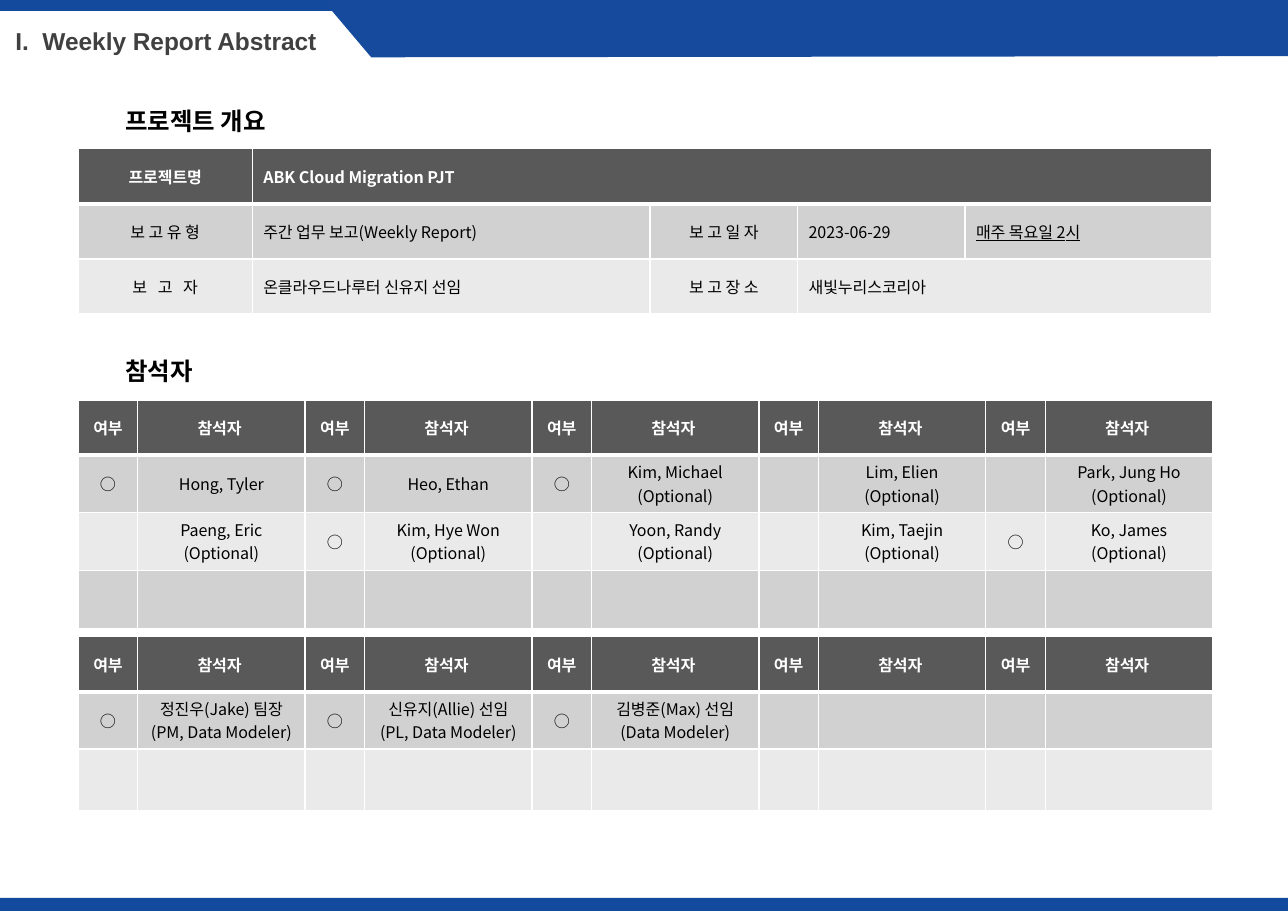
from dataclasses import dataclass

from lxml.etree import SubElement as Sub
from pptx import Presentation
from pptx.dml.color import RGBColor as Rgb
from pptx.enum.shapes import MSO_SHAPE as Shape
from pptx.enum.text import MSO_ANCHOR as Anchor, MSO_AUTO_SIZE as Fit, PP_ALIGN as Align
from pptx.oxml.ns import qn
from pptx.util import Pt

PX = 9144  # EMU per px, 100 px to the inch
WIDE, HIGH = 1169, 827
HUES = {"bar": "134A9D", "band": "154A9D", "title": "404040", "head": "595959",
        "dark": "D1D1D1", "pale": "EAEAEA", "white": "FFFFFF", "black": "000000"}
KOREAN = "Noto Sans CJK KR"
TITLE = {"name": "Arial", "size": Pt(16), "bold": True}
TOPIC = {"name": KOREAN, "size": Pt(16), "bold": True}
HEAD = {"name": KOREAN, "size": Pt(10.5), "bold": True}
BODY = HEAD | {"bold": False}


@dataclass
class Bar:
    top: int
    wide: int
    high: int


@dataclass
class Topic:
    text: str
    top: int


@dataclass
class Grid:
    top: int
    cols: list[int]
    rows: list[int]
    cells: list[list[str]]
    left: tuple[int, ...] = ()
    tight: tuple[int, ...] = ()
    spans: tuple[tuple[int, int, int], ...] = ()
    under: tuple[tuple[int, int], ...] = ()


BARS = [Bar(815, WIDE, 12), Bar(0, 409, 10)]
TOPICS = [Topic("프로젝트 개요", 91), Topic("참석자", 318)]
PAIRS = [54, 152] * 5
NAMES = (1, 3, 5, 7, 9)
LABELS = ["여부", "참석자 "] * 5
OPT = "\n(Optional)"
GRIDS = [
    Grid(135, [158, 361, 134, 152, 224], [50, 50, 50], [
        ["프로젝트명", "ABK Cloud Migration PJT", "", "", ""],
        ["보 고 유 형", "주간 업무 보고(Weekly Report)", "보 고 일 자", "2023-06-29", "매주 목요일 2시"],
        ["보   고   자", "온클라우드나루터 신유지 선임", "보 고 장 소", "새빛누리스코리아", ""],
    ], left=(1, 3, 4), spans=((0, 1, 4), (2, 3, 4)), under=((1, 4),)),
    Grid(363, PAIRS, [50, 52, 53, 53], [
        LABELS,
        ["○", "Hong, Tyler", "○", "Heo, Ethan", "○", "Kim, Michael" + OPT,
         "", "Lim, Elien" + OPT, "", "Park, Jung Ho" + OPT],
        ["", "Paeng, Eric" + OPT, "○", "Kim, Hye Won" + OPT, "", "Yoon, Randy" + OPT,
         "", "Kim, Taejin" + OPT, "○", "Ko, James" + OPT],
        [""] * 10,
    ], tight=NAMES),
    Grid(578, PAIRS, [50, 52, 56], [
        LABELS,
        ["○", "정진우(Jake) 팀장\n(PM, Data Modeler)", "○", "신유지(Allie) 선임\n(PL, Data Modeler)",
         "○", "김병준(Max) 선임\n(Data Modeler)", "", "", "", ""],
        [""] * 10,
    ], tight=NAMES),
]


def tint(hue: str) -> Rgb:
    return Rgb.from_string(HUES[hue])


def put(item, **values) -> None:
    """Set each named attribute on the item."""
    for key, value in values.items():
        setattr(item, key, value)


def place(item, x: int, y: int, w: int, h: int) -> None:
    put(item, left=x * PX, top=y * PX, width=w * PX, height=h * PX)


def write(frame, text: str, look: dict, hue: str, align=Align.LEFT) -> None:
    frame.text = text
    for para in frame.paragraphs:
        para.alignment = align
        for run in para.runs:
            put(run.font, **look)
            run.font.color.rgb = tint(hue)
            Sub(run.font._element, qn("a:ea"), typeface=look["name"])


def paint(shape, hue: str) -> None:
    shape.shadow.inherit = False
    shape.fill.solid()
    shape.fill.fore_color.rgb = tint(hue)
    shape.line.fill.background()


def edge(cell, row: int) -> None:
    """Draw white cell borders, thick between the header and the first row."""
    thick = {0: "lnB", 1: "lnT"}.get(row)
    for side in ("lnL", "lnR", "lnT", "lnB"):
        line = Sub(cell._tc.get_or_add_tcPr(), qn("a:" + side), w=str(Pt(3 if side == thick else 1)))
        Sub(Sub(line, qn("a:solidFill")), qn("a:srgbClr"), val=HUES["white"])


def draw_grid(shapes, grid: Grid) -> None:
    table = shapes.add_table(len(grid.rows), len(grid.cols), 71 * PX, grid.top * PX,
                             sum(grid.cols) * PX, sum(grid.rows) * PX).table
    for col, wide in zip(table.columns, grid.cols):
        col.width = wide * PX
    for row, high in zip(table.rows, grid.rows):
        row.height = high * PX
    for r, texts in enumerate(grid.cells):
        for c, text in enumerate(texts):
            cell = table.cell(r, c)
            edge(cell, r)
            cell.fill.solid()
            cell.fill.fore_color.rgb = tint("head" if r == 0 else "dark" if r % 2 else "pale")
            cell.vertical_anchor = Anchor.MIDDLE
            if r and c in grid.tight:
                put(cell, margin_left=7 * PX, margin_right=7 * PX, margin_top=0, margin_bottom=0)
            look = (BODY if r else HEAD) | {"underline": (r, c) in grid.under}
            write(cell.text_frame, text, look, "black" if r else "white",
                  Align.LEFT if c in grid.left else Align.CENTER)
    for r, first, last in grid.spans:
        table.cell(r, first).merge(table.cell(r, last))


def main() -> None:
    deck = Presentation()
    put(deck, slide_width=WIDE * PX, slide_height=HIGH * PX)
    slide = deck.slides.add_slide(deck.slide_layouts[5])
    shapes = slide.shapes

    for bar in BARS:
        paint(shapes.add_shape(Shape.RECTANGLE, 0, bar.top * PX, bar.wide * PX, bar.high * PX), "bar")
    band = shapes.build_freeform(293, 0, scale=PX)
    band.add_line_segments([(WIDE, 0), (WIDE, 51), (337, 52)], close=True)
    paint(band.convert_to_shape(), "band")

    title = shapes.title
    place(title, 3, 18, 314, 38)
    put(title.text_frame, auto_size=Fit.NONE, vertical_anchor=Anchor.MIDDLE, margin_left=11 * PX,
        margin_right=11 * PX, margin_top=6 * PX, margin_bottom=6 * PX)
    write(title.text_frame, "I.  Weekly Report Abstract", TITLE, "title")

    for topic in TOPICS:
        box = shapes.add_textbox(104 * PX, topic.top * PX, 724 * PX, 37 * PX)
        box.text_frame.word_wrap = True
        write(box.text_frame, topic.text, TOPIC, "black")
    for grid in GRIDS:
        draw_grid(shapes, grid)
    deck.save("out.pptx")


if __name__ == "__main__":
    main()
